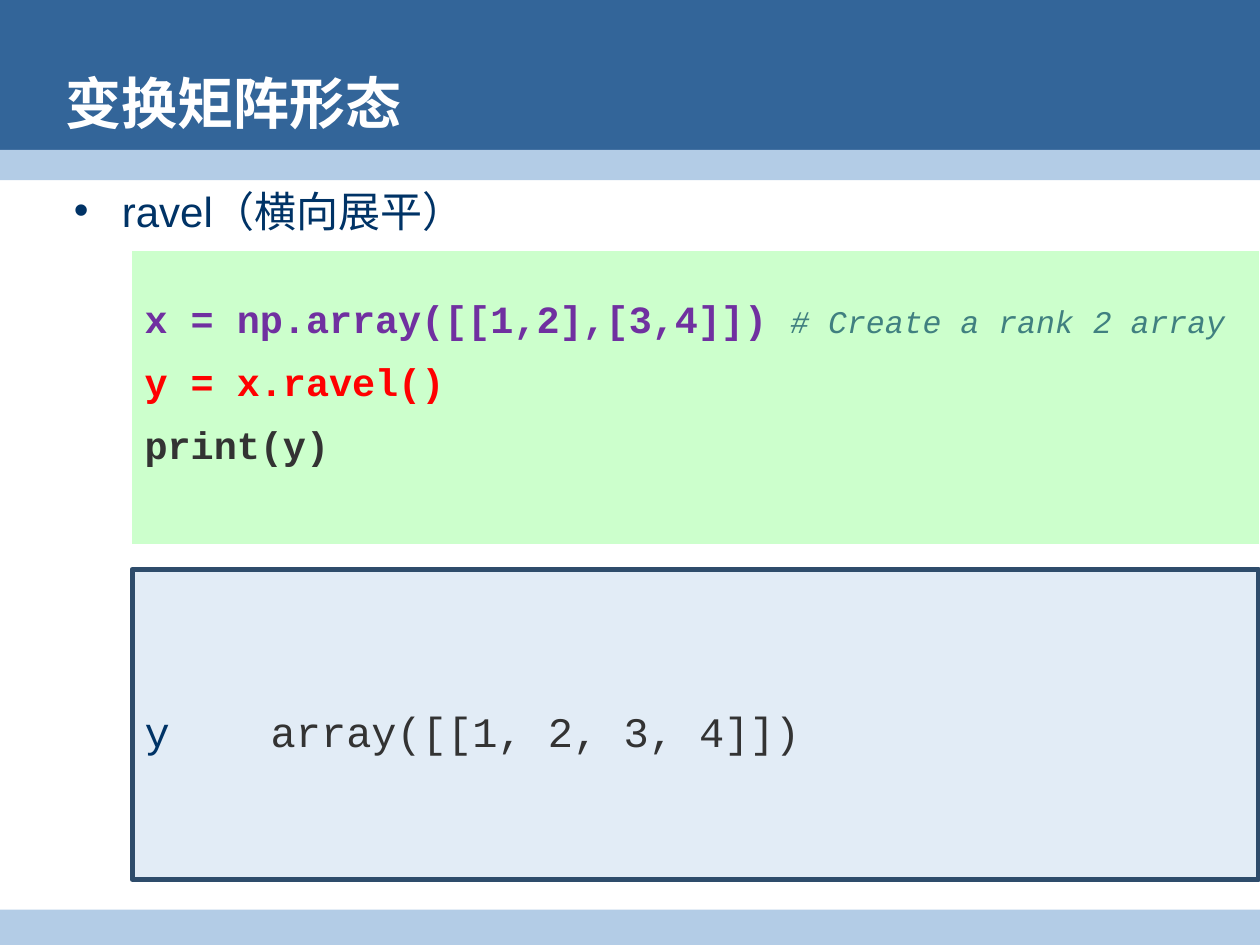
from dataclasses import dataclass

from lxml.etree import SubElement
from pptx import Presentation
from pptx.dml.color import RGBColor as RGB
from pptx.enum.shapes import MSO_SHAPE as Preset
from pptx.enum.text import MSO_ANCHOR as Anchor, PP_ALIGN as Align
from pptx.oxml.ns import qn
from pptx.util import Pt


@dataclass(frozen=True)
class Theme:
    header: str = "336599"
    band: str = "B3CCE6"
    title: str = "FFFFFF"
    body: str = "003366"
    code_fill: str = "CCFFCC"
    output_fill: str = "E2ECF6"
    output_line: str = "2E4C6B"
    creation: str = "7030A0"
    remark: str = "408080"
    key_call: str = "FF0000"
    plain: str = "333333"
    sans: str = "Arial"
    mono: str = "Courier New"
    title_size: float = 32
    body_size: float = 24
    code_size: float = 22
    remark_size: float = 18


THEME = Theme()
WIDTH, HEIGHT = 720, 540
PANEL_LEFT, PANEL_WIDTH = 75.6, 643.7

TITLE = "变换矩阵形态"
TOPIC = "ravel（横向展平）"
CODE = [
    [("x = np.array([[1,2],[3,4]]) ", THEME.creation), ("# Create a rank 2 array", THEME.remark)],
    [("y = x.ravel()", THEME.key_call)],
    [("print(y)", THEME.plain)],
]
OUTPUT = [("y\t\t", THEME.body), ("array([[1, 2, 3, 4]])", THEME.plain)]
BANDS = [
    (0, 94.3, THEME.header),
    (85.7, 17.3, THEME.band),
    (519.8, 20.2, THEME.band),
]


def style(font, face, size, color=None, bold=False):
    font.name, font.size, font.bold = face, Pt(size), bold
    if color:
        font.color.rgb = RGB.from_string(color)


def set_frame(frame, insets, anchor):
    frame.word_wrap = True
    frame.vertical_anchor = anchor
    frame.margin_left, frame.margin_top, frame.margin_right, frame.margin_bottom = map(Pt, insets)
    return frame


def add_block(slide, preset, left, top, width, height, fill):
    block = slide.shapes.add_shape(preset, Pt(left), Pt(top), Pt(width), Pt(height))
    block.shadow.inherit = False
    block.fill.solid()
    block.fill.fore_color.rgb = RGB.from_string(fill)
    block.line.fill.background()
    return block


def add_text(slide, box, insets, anchor):
    return set_frame(slide.shapes.add_textbox(*map(Pt, box)).text_frame, insets, anchor)


def add_runs(paragraph, parts):
    paragraph.alignment = Align.LEFT
    for text, color in parts:
        run = paragraph.add_run()
        run.text = text
        run.font.color.rgb = RGB.from_string(color)
        if color == THEME.remark:
            run.font.size, run.font.bold, run.font.italic = Pt(THEME.remark_size), False, True


def add_bullet(paragraph, indent):
    properties = paragraph._p.get_or_add_pPr()
    properties.set("marL", str(Pt(indent)))
    properties.set("indent", str(Pt(-indent)))
    SubElement(properties, qn("a:buFont"), typeface=THEME.sans)
    SubElement(properties, qn("a:buChar"), char="•")


def main():
    deck = Presentation()
    deck.slide_width, deck.slide_height = Pt(WIDTH), Pt(HEIGHT)
    slide = deck.slides.add_slide(deck.slide_layouts[6])

    for top, height, color in BANDS:
        add_block(slide, Preset.RECTANGLE, 0, top, WIDTH, height, color)

    topic = add_text(slide, (36.7, 105.8, 666, 36), (5.5, 0, 7.2, 0), Anchor.TOP).paragraphs[0]
    topic.text = TOPIC
    add_bullet(topic, 27.4)
    style(topic.font, THEME.sans, THEME.body_size, THEME.body)

    title = add_text(slide, (30.2, 37.4, 652.3, 41.8), (7.2, 0, 0, 0), Anchor.MIDDLE).paragraphs[0]
    title.text = TITLE
    style(title.font, THEME.sans, THEME.title_size, THEME.title, bold=True)

    code_panel = add_block(slide, Preset.FLOWCHART_PROCESS, PANEL_LEFT, 143.3,
                           PANEL_WIDTH, 167.8, THEME.code_fill)
    code = set_frame(code_panel.text_frame, (7.2, 3.6, 0, 22.2), Anchor.MIDDLE)
    for index, parts in enumerate(CODE):
        line = code.add_paragraph() if index else code.paragraphs[0]
        if index:
            line.space_before = Pt(9.7)
        add_runs(line, parts)
        style(line.font, THEME.mono, THEME.code_size, bold=True)

    output_panel = add_block(slide, Preset.RECTANGLE, PANEL_LEFT, 325.4,
                             PANEL_WIDTH, 177.1, THEME.output_fill)
    output_panel.line.color.rgb = RGB.from_string(THEME.output_line)
    output_panel.line.width = Pt(3)
    output = set_frame(output_panel.text_frame, (7.2, 11, 7.2, 3.6), Anchor.MIDDLE).paragraphs[0]
    add_runs(output, OUTPUT)
    style(output.font, THEME.mono, THEME.body_size)

    deck.save("out.pptx")


if __name__ == "__main__":
    main()
